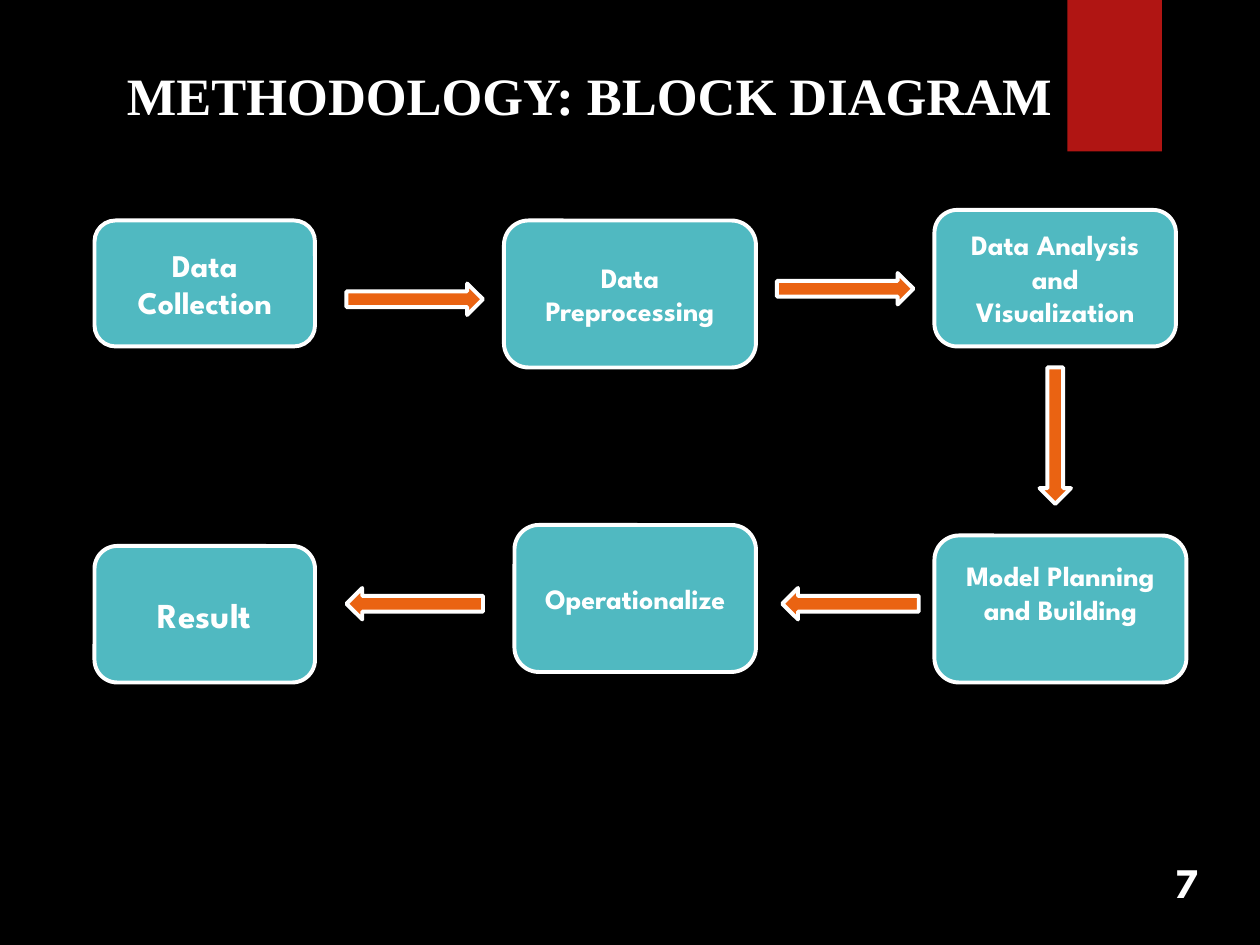
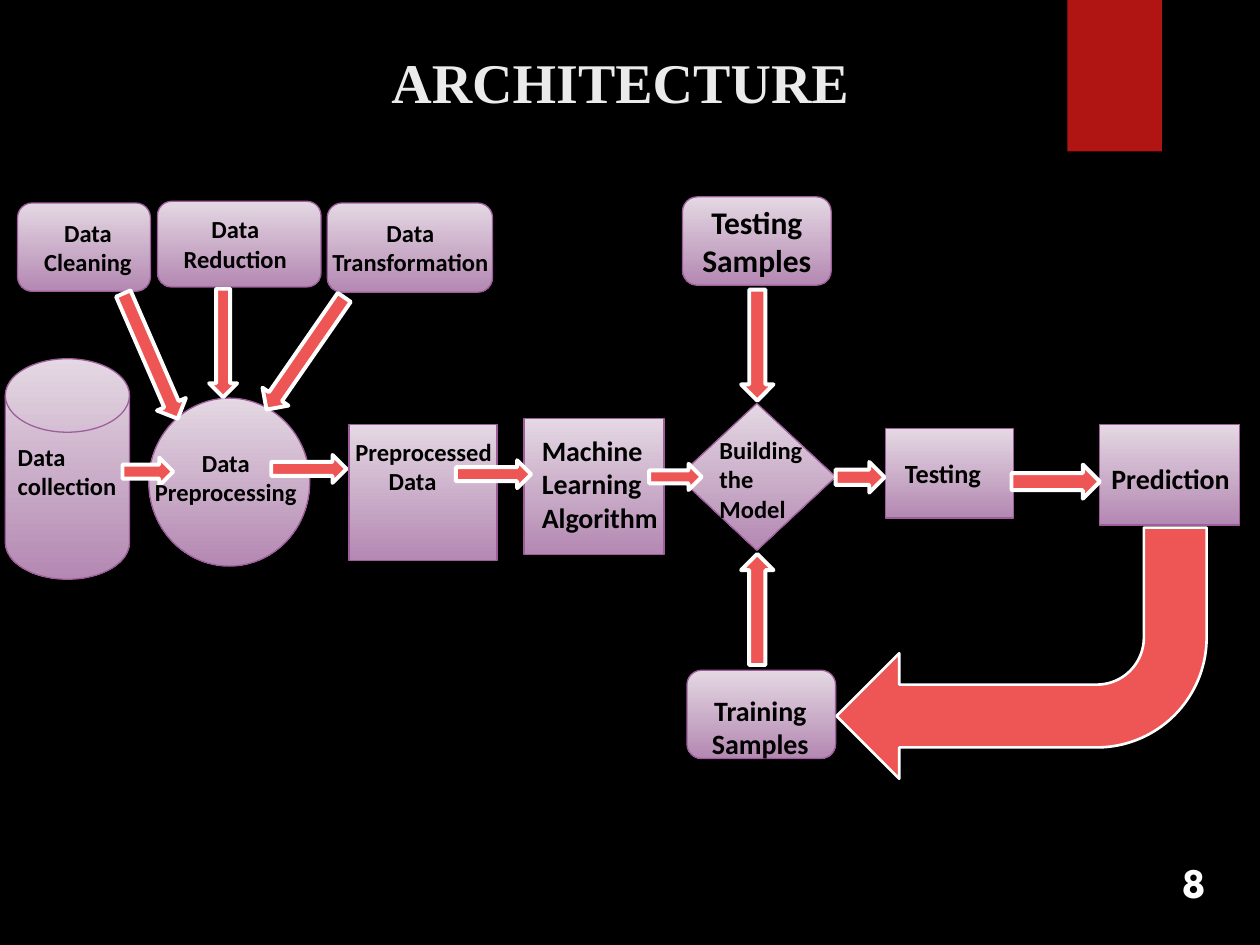
from dataclasses import dataclass

from pptx import Presentation
from pptx.dml.color import RGBColor
from pptx.enum.shapes import MSO_SHAPE
from pptx.enum.text import MSO_ANCHOR, PP_ALIGN
from pptx.util import Pt


@dataclass(frozen=True)
class Theme:
    background: str = "000000"
    ribbon: str = "B01513"
    white: str = "FFFFFF"
    title_grey: str = "EBEBEB"
    black: str = "000000"
    teal: str = "50B9C1"
    orange: str = "EA6312"
    coral: str = "ED5654"
    lilac: tuple = ("E4D8E3", "B488B2")
    purple: str = "9E5E9B"
    title_font: str = "Times New Roman"
    step_font: str = "League Spartan"
    label_font: str = "Calibri"
    number_size: int = 24
    outline: float = 2.25
    hairline: float = 0.75


theme = Theme()
LEFT, CENTER = PP_ALIGN.LEFT, PP_ALIGN.CENTER
TOP, MIDDLE = MSO_ANCHOR.TOP, MSO_ANCHOR.MIDDLE


def draw(slide, kind, place, fill, line=None, width=theme.outline, turn=0):
    """Add a preset shape; a pair of fill colours gives a vertical gradient."""
    shape = slide.shapes.add_shape(kind, *map(Pt, place))
    shape.shadow.inherit = False
    shape.rotation = turn
    if isinstance(fill, tuple):
        shape.fill.gradient()
        shape.fill.gradient_angle = 270
        for stop, colour in zip(shape.fill.gradient_stops, fill):
            stop.color.rgb = RGBColor.from_string(colour)
    else:
        shape.fill.solid()
        shape.fill.fore_color.rgb = RGBColor.from_string(fill)
    if line:
        shape.line.color.rgb = RGBColor.from_string(line)
        shape.line.width = Pt(width)
    else:
        shape.line.fill.background()
    return shape


def write(shape, text, font, size, colour, align=CENTER, anchor=TOP):
    """Fill a shape or text box with bold text, one paragraph a line."""
    frame = shape.text_frame
    frame.word_wrap = True
    frame.vertical_anchor = anchor
    frame.text = text
    for paragraph in frame.paragraphs:
        paragraph.alignment = align
        for name, value in {"name": font, "size": Pt(size), "bold": True}.items():
            setattr(paragraph.font, name, value)
        paragraph.font.color.rgb = RGBColor.from_string(colour)
    return frame


deck = Presentation()
deck.slide_width, deck.slide_height = Pt(720), Pt(540)
deck.slide_master.background.fill.solid()
deck.slide_master.background.fill.fore_color.rgb = RGBColor.from_string(theme.background)

# Ribbon, title and page number on each slide
headings = [
    ("METHODOLOGY: BLOCK DIAGRAM", (65.5, 32.5, 549, 44), 30, theme.white, LEFT, TOP, 7, 655),
    ("ARCHITECTURE", (76.5, 22.5, 556, 48), 32, theme.title_grey, CENTER, MIDDLE, 8, 659.5),
]
pages = []
for title, place, size, colour, align, anchor, number, number_left in headings:
    page = deck.slides.add_slide(deck.slide_layouts[6])
    draw(page, MSO_SHAPE.RECTANGLE, (610, 0, 54, 86.5), theme.ribbon)
    write(page.shapes.add_textbox(*map(Pt, place)), title,
          theme.title_font, size, colour, align, anchor)
    write(page.shapes.add_textbox(Pt(number_left), Pt(486), Pt(46), Pt(36)), str(number),
          theme.step_font, theme.number_size, theme.white)
    pages.append(page)
methodology, architecture = pages

# Methodology: the steps
steps = [
    ("Data Collection", (54, 126, 126, 72), 18),
    ("Data Preprocessing", (288, 126, 144, 84), 16),
    ("Data Analysis and Visualization", (534, 120, 138, 78), 16),
    ("Model Planning and Building", (534, 306, 144, 84), 16),
    ("Operationalize", (294, 300, 138, 84), 16),
    ("Result", (54, 312, 126, 78), 20),
]
for step, place, size in steps:
    block = draw(methodology, MSO_SHAPE.ROUNDED_RECTANGLE, place, theme.teal, theme.white)
    frame = write(block, step, theme.step_font, size, theme.white, anchor=MIDDLE)
    if step.startswith("Model"):
        frame.margin_bottom = Pt(22.5)

# Methodology: the arrows between them
for left, top, turn in [(198, 162, 0), (444, 156, 0), (564, 240, 90),
                        (447, 336, 180), (198, 336, 180)]:
    draw(methodology, MSO_SHAPE.RIGHT_ARROW, (left, top, 78, 18),
         theme.orange, theme.white, turn=turn)

# Architecture: the stages, by outline
stages = {
    MSO_SHAPE.FLOWCHART_MAGNETIC_DISK: [(3, 205, 71, 126)],
    MSO_SHAPE.FLOWCHART_CONNECTOR: [(85, 227.5, 92, 96)],
    MSO_SHAPE.DIAMOND: [(387.5, 230.5, 90, 84)],
    MSO_SHAPE.RECTANGLE: [
        (199.5, 242.5, 84.5, 78), (299.5, 239, 80, 78),
        (506, 245, 73, 51), (628.5, 242.5, 80, 57.5),
    ],
    MSO_SHAPE.ROUNDED_RECTANGLE: [
        (10, 116, 76, 50.5), (90, 115, 93.5, 49), (187, 116, 94.5, 51),
        (392.5, 383, 85, 50.5), (390, 112.5, 85, 50.5),
    ],
}
for kind, places in stages.items():
    for place in places:
        stage = draw(architecture, kind, place, theme.lilac, theme.purple, theme.hairline)
testing_samples = stage
write(testing_samples, "Testing\nSamples", theme.label_font, 18, theme.black, anchor=MIDDLE)

# Architecture: the flow arrows, with their turn
flows = [
    ((70, 261.5, 29, 16), 0),
    ((155, 260, 43, 16), 0),
    ((260.5, 263, 43, 16), 0),
    ((371, 265, 30, 15), 0),
    ((477.5, 264, 28, 17.5), 0),
    ((578, 265.5, 50.5, 19.5), 0),
    ((47, 194.5, 78, 18), 66.5),
    ((96.5, 188, 62, 16), 90),
    ((135.5, 193, 78, 18), 124.7),
    ((401, 188, 63.5, 18.5), 90),
    ((401, 339, 63.5, 18.5), 270),
]
for place, turn in flows:
    draw(architecture, MSO_SHAPE.RIGHT_ARROW, place, theme.coral, theme.white, turn=turn)

# Architecture: the way back from prediction to training
draw(architecture, MSO_SHAPE.BENT_ARROW, (478, 301.5, 211.5, 143.5),
     theme.coral, theme.white, 1.5, 180)

# Architecture: the labels
labels = [
    ("Data collection", (3, 249, 73.5, 41), 14, LEFT),
    ("Data Preprocessing", (79, 252.5, 100, 41), 14, CENTER),
    ("Preprocessed\nData", (196, 246, 121, 41), 14, LEFT),
    ("Machine Learning Algorithm", (302.5, 244, 121, 65.5), 16, LEFT),
    ("Building the Model", (404, 245, 70.5, 58), 14, LEFT),
    ("Testing", (510, 258, 68.5, 25), 15, LEFT),
    ("Prediction", (628, 260, 87, 26.5), 16, LEFT),
    ("Data\nCleaning", (16, 121, 68.5, 41), 14, CENTER),
    ("Data\nReduction", (94, 119, 81, 41), 14, CENTER),
    ("Data\nTransformation", (179, 121, 111, 41), 14, CENTER),
    ("Training\nSamples", (399, 392.5, 71, 46), 16, CENTER),
]
for label, place, size, align in labels:
    frame = write(architecture.shapes.add_textbox(*map(Pt, place)), label,
                  theme.label_font, size, theme.black, align)
    if label.startswith("Preprocessed"):
        # Indent the second line
        frame.paragraphs[1]._p.get_or_add_pPr().set("marL", str(Pt(19)))

deck.save("out.pptx")
